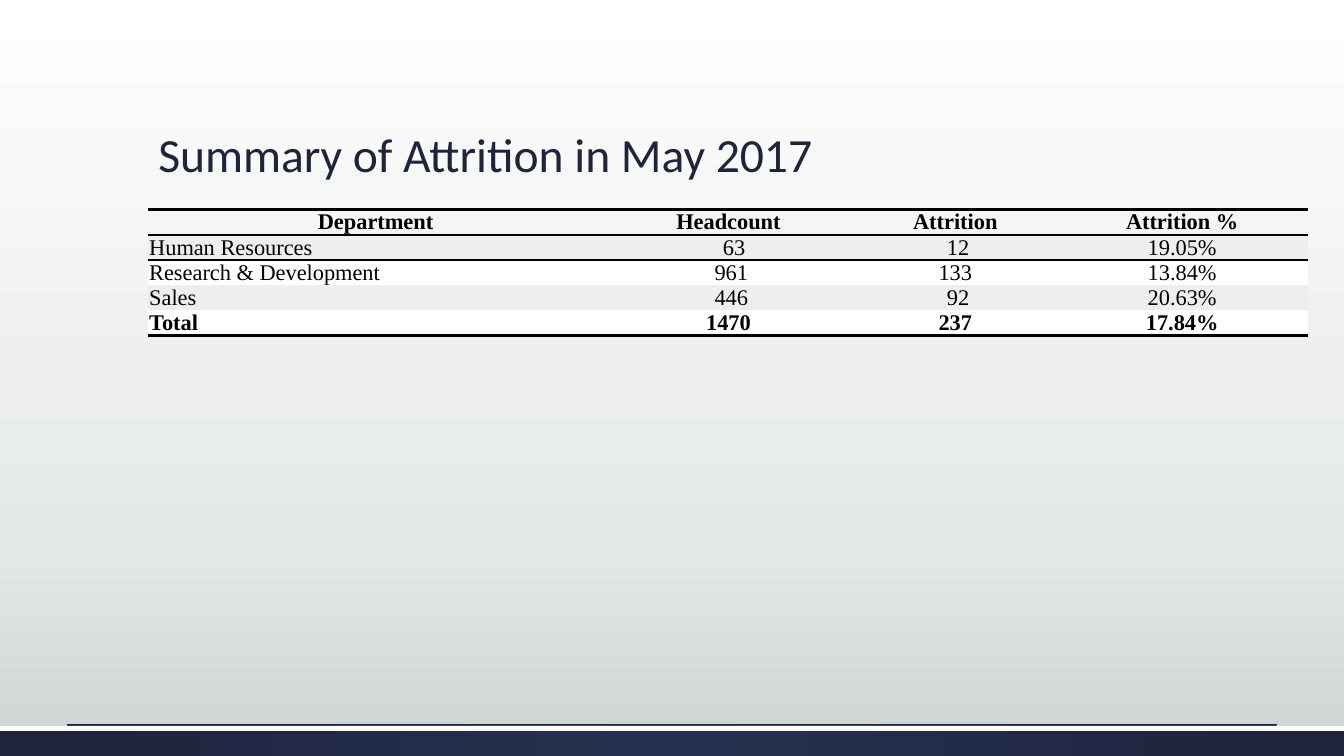
from dataclasses import dataclass

from pptx import Presentation
from pptx.dml.color import RGBColor
from pptx.enum.shapes import MSO_CONNECTOR, MSO_SHAPE
from pptx.enum.text import MSO_ANCHOR, PP_ALIGN
from pptx.oxml import parse_xml
from pptx.oxml.ns import nsdecls
from pptx.util import Inches, Pt


@dataclass(frozen=True)
class Theme:
    navy: str = "1D243C"
    navy_light: str = "263050"
    black: str = "000000"
    white: str = "FFFFFF"
    band: str = "EEEEEE"
    mist: str = "E5E8E8"
    silver: str = "CDD2D2"
    title_font: str = "Calibri"
    table_font: str = "Times New Roman"
    title_size: int = 34
    table_size: int = 16
    border: int = 2


theme = Theme()


def set_gradient(solid_fill, stops, direction):
    """Swap a solid fill for a gradient with (percent, colour) stops."""
    stop_xml = "".join(
        f'<a:gs pos="{percent * 1000}"><a:srgbClr val="{colour}"/></a:gs>'
        for percent, colour in stops)
    gradient = parse_xml(f'<a:gradFill {nsdecls("a")} rotWithShape="1">'
                         f'<a:gsLst>{stop_xml}</a:gsLst>{direction}</a:gradFill>')
    solid_fill.getparent().replace(solid_fill, gradient)


def write(paragraph, text, font, size, colour, bold=False):
    run = paragraph.add_run()
    run.text = text
    run.font.name, run.font.size, run.font.bold = font, Pt(size), bold
    run.font.color.rgb = RGBColor.from_string(colour)


presentation = Presentation()
presentation.slide_width, presentation.slide_height = Inches(13.33), Inches(7.5)
width, height = presentation.slide_width, presentation.slide_height
slide = presentation.slides.add_slide(presentation.slide_layouts[5])
left_margin = Inches(1.47)

# Background
slide.background.fill.solid()
set_gradient(slide.element.xpath(".//p:bgPr/a:solidFill")[0],
             [(0, theme.white), (72, theme.mist), (100, theme.silver)],
             '<a:lin ang="5400000" scaled="0"/>')

# Footer: navy bar, white strip on its upper edge, hairline above
footer_top = int(height * 0.96)
for depth, colour in ((height - footer_top, theme.navy), (Inches(0.05), theme.white)):
    bar = slide.shapes.add_shape(MSO_SHAPE.RECTANGLE, 0, footer_top, width, depth)
    bar.shadow.inherit = False
    bar.line.fill.background()
    bar.fill.solid()
    bar.fill.fore_color.rgb = RGBColor.from_string(colour)
    if colour == theme.navy:
        set_gradient(bar.element.xpath("./p:spPr/a:solidFill")[0],
                     [(0, theme.navy_light), (100, theme.navy)],
                     '<a:path path="circle"><a:fillToRect l="50000" t="50000" '
                     'r="50000" b="50000"/></a:path>')

hairline = slide.shapes.add_connector(
    MSO_CONNECTOR.STRAIGHT, int(width * 0.05), Inches(7.19),
    int(width * 0.95), Inches(7.19))
hairline.line.width = Pt(0.5)
hairline.line.color.rgb = RGBColor.from_string(theme.navy)
hairline.element.spPr.append(parse_xml(f'<a:effectLst {nsdecls("a")}/>'))

# Title
title = slide.shapes.title
title.left, title.top = left_margin, Inches(0.51)
title.width, title.height = Inches(10.4), Inches(1.35)
title.text_frame.word_wrap = True
title.text_frame.vertical_anchor = MSO_ANCHOR.BOTTOM
heading = title.text_frame.paragraphs[0]
heading.alignment, heading.line_spacing = PP_ALIGN.LEFT, 0.9
write(heading, "Summary of Attrition in May 2017",
      theme.title_font, theme.title_size, theme.navy)

# Attrition table
departments = [
    ("Department", "Headcount", "Attrition", "Attrition %"),
    ("Human Resources", "63", "12", "19.05%"),
    ("Research & Development", "961", "133", "13.84%"),
    ("Sales", "446", "92", "20.63%"),
    ("Total", "1470", "237", "17.84%"),
]
column_widths = [4.5, 2.5, 2, 2.5]
row_height = Inches(0.25)
last_row = len(departments) - 1
ruled_edges = {0: ("lnT", "lnB"), 1: ("lnT",), last_row: ("lnB",)}

attrition = slide.shapes.add_table(
    len(departments), len(column_widths), left_margin, Inches(2.08),
    Inches(sum(column_widths)), row_height * len(departments)).table
attrition.first_row = attrition.horz_banding = False
no_style = "{2D5ABB26-0587-4C30-8999-92F81FD0307C}"
attrition._tbl.xpath("./a:tblPr/a:tableStyleId")[0].text = no_style
for column, column_width in zip(attrition.columns, column_widths):
    column.width = Inches(column_width)

for r, record in enumerate(departments):
    attrition.rows[r].height = row_height
    for c, value in enumerate(record):
        cell = attrition.cell(r, c)
        cell.margin_left = cell.margin_right = 0
        cell.margin_top = cell.margin_bottom = 0
        cell.vertical_anchor = MSO_ANCHOR.MIDDLE
        if r == 0:
            cell.fill.background()
        else:
            cell.fill.solid()
            cell.fill.fore_color.rgb = RGBColor.from_string(
                theme.band if r % 2 else theme.white)

        entry = cell.text_frame.paragraphs[0]
        entry.space_before = entry.space_after = Pt(1)
        entry.alignment = PP_ALIGN.LEFT if r and c == 0 else PP_ALIGN.CENTER
        # Shorter numbers are indented a quarter em per missing digit
        missing_digits = len(departments[last_row][c]) - len(value) if r and c else 0
        indent = Inches(0.01) + Pt(theme.table_size / 4) * missing_digits
        entry._p.get_or_add_pPr().set("marL", str(indent))
        write(entry, value, theme.table_font, theme.table_size, theme.black,
              bold=r in (0, last_row))

        for position, edge in enumerate(ruled_edges.get(r, ())):
            cell._tc.get_or_add_tcPr().insert(position, parse_xml(
                f'<a:{edge} {nsdecls("a")} w="{Pt(theme.border)}"><a:solidFill>'
                f'<a:srgbClr val="{theme.black}"/></a:solidFill></a:{edge}>'))

presentation.save("out.pptx")
